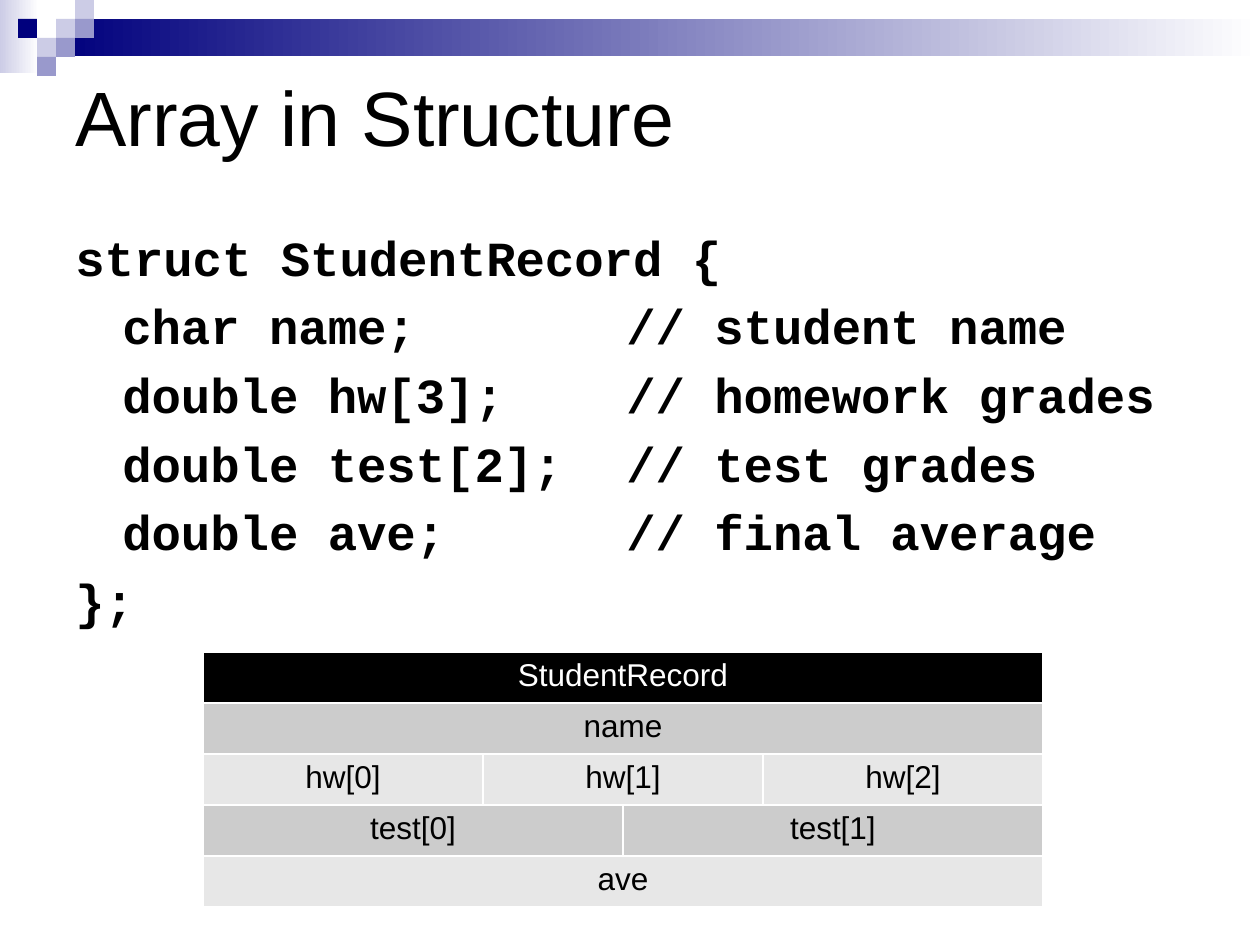
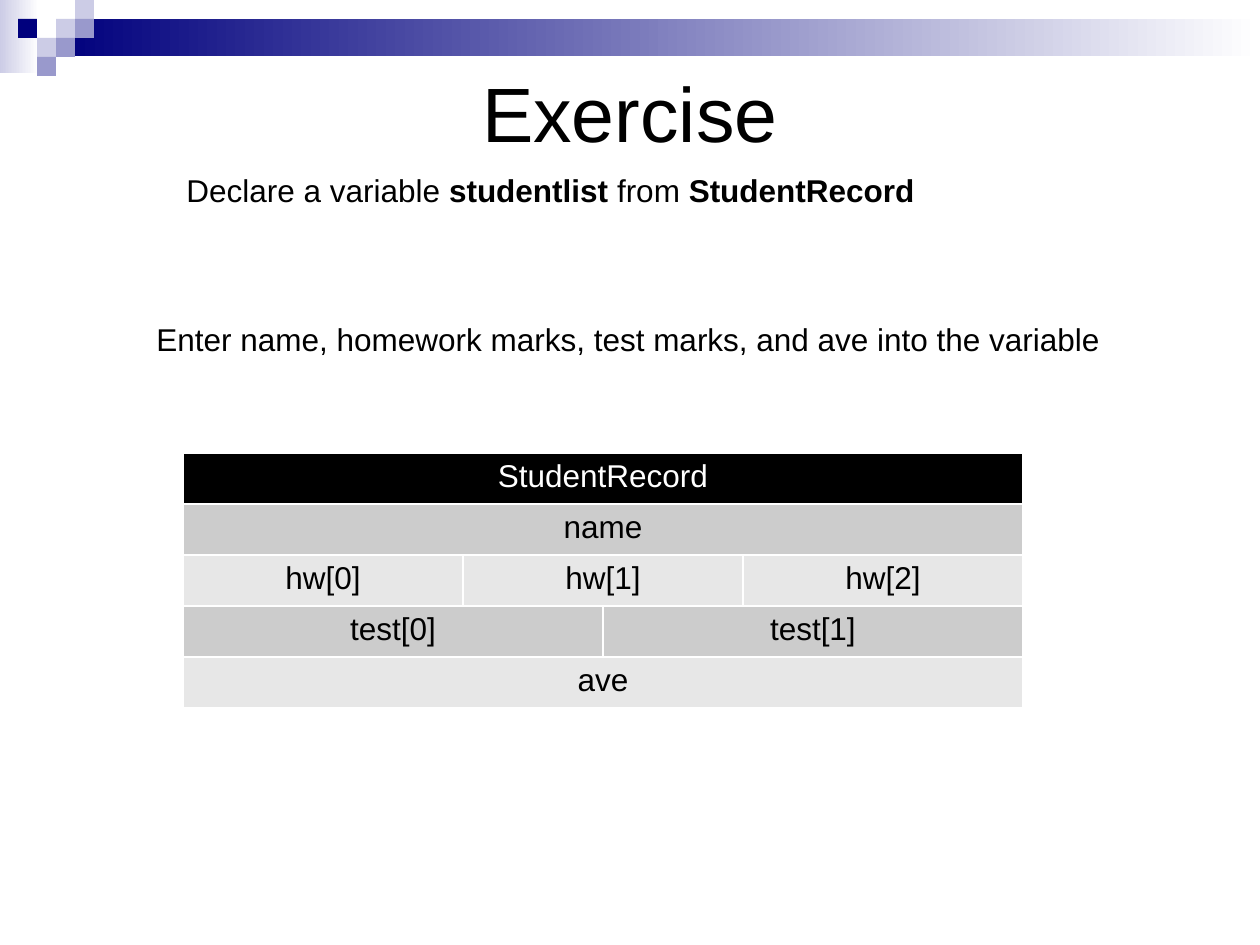
"""Two slides on arrays inside a structure."""
from pptx import Presentation
from pptx.dml.color import RGBColor
from pptx.enum.shapes import MSO_SHAPE
from pptx.enum.text import MSO_ANCHOR, PP_ALIGN
from pptx.util import Pt

RECT = MSO_SHAPE.RECTANGLE
TOP, MIDDLE = MSO_ANCHOR.TOP, MSO_ANCHOR.MIDDLE
LEFT, CENTER = PP_ALIGN.LEFT, PP_ALIGN.CENTER

SCALE = 914400 // 126
WIDTH, HEIGHT = 1260, 945
UNIT = 19
TAB = 126
NAVY, MID, PALE = "00007D", "9999CC", "CCCCE6"
BLACK, WHITE = "000000", "FFFFFF"
DARK, LIGHT = "CCCCCC", "E7E7E7"
SANS, MONO = "Arial", "Courier New"

# Column, row and colour of each small square, in units
SQUARES = [(3, 1, PALE), (4, 0, PALE), (4, 1, MID), (2, 2, PALE),
           (1, 1, NAVY), (3, 2, MID), (2, 3, MID)]

CODE = ["struct StudentRecord {",
        "\tchar name;\t\t// student name",
        "\tdouble hw[3];\t// homework grades",
        "\tdouble test[2];\t// test grades",
        "\tdouble ave;\t\t// final average",
        "};"]

COLS = [280, 140, 140, 280]
ROW = 51
# Fill, text colour, and the (label, column span) pairs of each row
RECORD = [(BLACK, WHITE, [("StudentRecord", 4)]),
          (DARK, BLACK, [("name", 4)]),
          (LIGHT, BLACK, [("hw[0]", 1), ("hw[1]", 2), ("hw[2]", 1)]),
          (DARK, BLACK, [("test[0]", 2), ("test[1]", 2)]),
          (LIGHT, BLACK, [("ave", 4)])]


def px(*sizes):
    """Turn pixels into a list of EMU lengths."""
    return [size * SCALE for size in sizes]


def rgb(code):
    """Turn a hex string into a colour."""
    return RGBColor.from_string(code)


def add_run(para, text, size, color=BLACK, font=SANS, bold=False):
    """Add one styled run to a paragraph."""
    run = para.add_run()
    run.text = text
    run.font.size = Pt(size)
    run.font.name = font
    run.font.bold = bold
    run.font.color.rgb = rgb(color)


def add_text(slide, box, lines, size, font=SANS, align=LEFT, anchor=TOP,
             before=0, hang=0):
    """Add a text box; each line is a list of (text, bold) runs."""
    frame = slide.shapes.add_textbox(*px(*box)).text_frame
    frame.word_wrap = True
    frame.vertical_anchor = anchor
    for num, line in enumerate(lines):
        para = frame.add_paragraph() if num else frame.paragraphs[0]
        para.alignment = align
        para.space_before = Pt(before)
        if hang:
            props = para._p.get_or_add_pPr()
            props.set("marL", str(hang * SCALE))
            props.set("indent", str(-hang * SCALE))
            props.set("defTabSz", str(TAB * SCALE))
        for text, bold in line:
            add_run(para, text, size, font=font, bold=bold)


def add_title(slide, text, top, height, align=LEFT):
    """Add the slide title."""
    add_text(slide, (63, top, 1134, height), [[(text, False)]], 44,
             align=align, anchor=MIDDLE)


def add_rect(slide, box, color, fade=False):
    """Add a plain rectangle, solid or fading to white."""
    shape = slide.shapes.add_shape(RECT, *px(*box))
    shape.shadow.inherit = False
    shape.line.fill.background()
    if fade:
        shape.fill.gradient()
        shape.fill.gradient_angle = 0
        for stop, tone in zip(shape.fill.gradient_stops, (color, WHITE)):
            stop.color.rgb = rgb(tone)
    else:
        shape.fill.solid()
        shape.fill.fore_color.rgb = rgb(color)


def add_band(slide):
    """Draw the band and squares at the top of a slide."""
    add_rect(slide, (0, 0, 39, 73), PALE, fade=True)
    left = 3 * UNIT
    add_rect(slide, (left, UNIT, WIDTH - left, 2 * UNIT - 1), NAVY, fade=True)
    for col, row, color in SQUARES:
        add_rect(slide, (col * UNIT - 1, row * UNIT, UNIT, UNIT), color)


def add_record(slide, left, top):
    """Add the table of record members; its style gives the white rules."""
    box = px(left, top, sum(COLS), ROW * len(RECORD))
    table = slide.shapes.add_table(len(RECORD), len(COLS), *box).table
    for col, width in zip(table.columns, px(*COLS)):
        col.width = width
    for num, (fill, color, parts) in enumerate(RECORD):
        table.rows[num].height = ROW * SCALE
        for cell in table.rows[num].cells:
            cell.fill.solid()
            cell.fill.fore_color.rgb = rgb(fill)
        start = 0
        for text, span in parts:
            cell = table.cell(num, start)
            if span > 1:
                cell.merge(table.cell(num, start + span - 1))
            para = cell.text_frame.paragraphs[0]
            para.alignment = CENTER
            add_run(para, text, 18, color)
            start += span


def new_slide(deck):
    """Add a blank slide with the shared band."""
    slide = deck.slides.add_slide(deck.slide_layouts[6])
    add_band(slide)
    return slide


def main():
    """Build both slides and save them."""
    deck = Presentation()
    deck.slide_width, deck.slide_height = px(WIDTH, HEIGHT)

    slide = new_slide(deck)
    add_title(slide, "Array in Structure", 21, 189)
    add_text(slide, (63, 221, 1134, 450), [[(line, True)] for line in CODE],
             28, font=MONO, before=5.6, hang=47)
    add_record(slide, 203, 652)

    slide = new_slide(deck)
    add_record(slide, 183, 453)
    add_title(slide, "Exercise", 63, 97, CENTER)
    task = [("Declare a variable ", False), ("studentlist ", True),
            ("from", False), (" StudentRecord", True)]
    add_text(slide, (174, 165, 767, 50), [task], 18)
    enter = "Enter name, homework marks, test marks, and ave into the variable"
    add_text(slide, (144, 314, 978, 50), [[(enter, False)]], 18)

    deck.save("out.pptx")


main()
